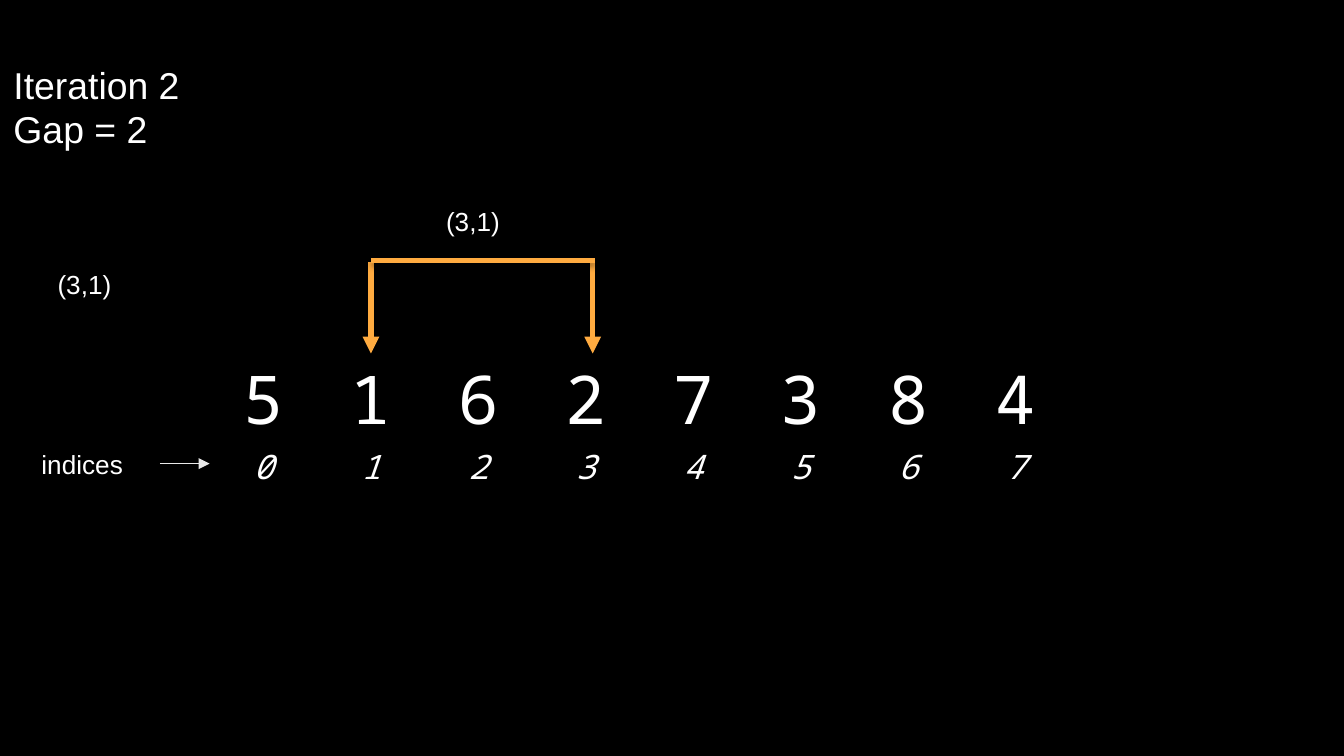
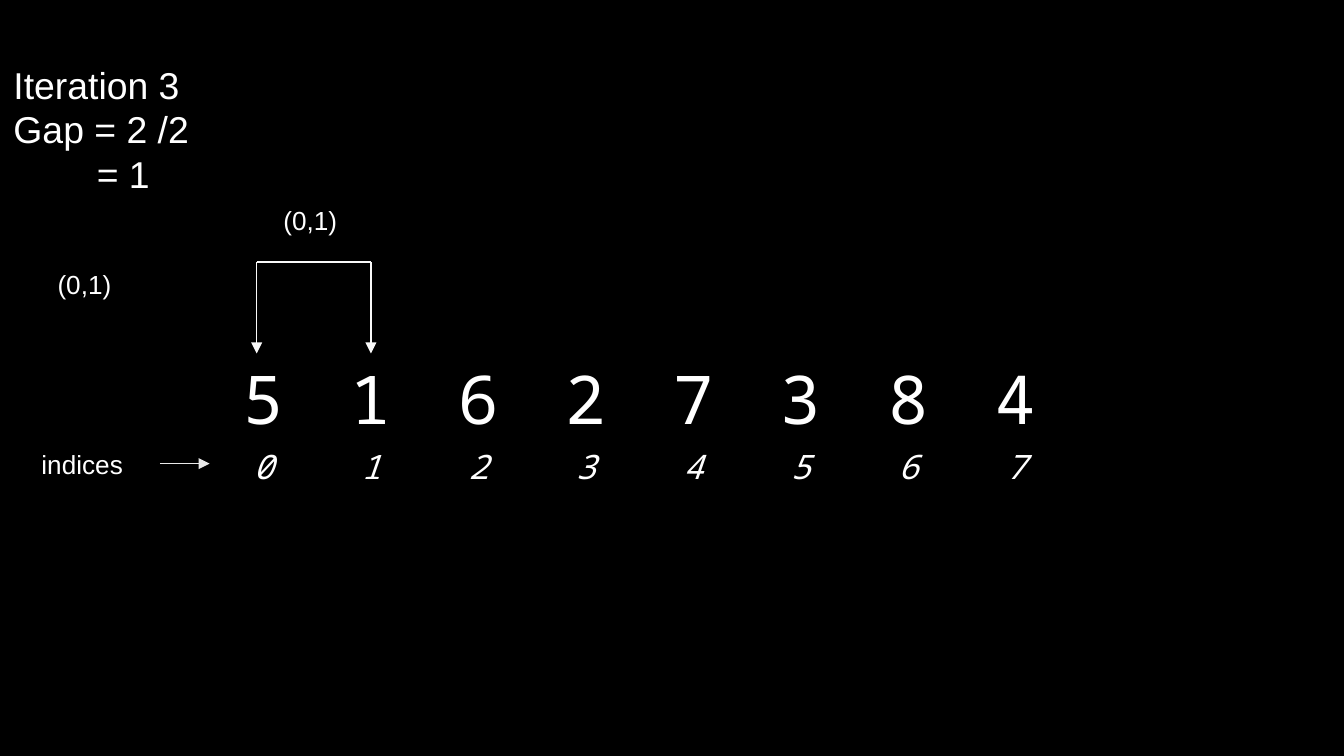
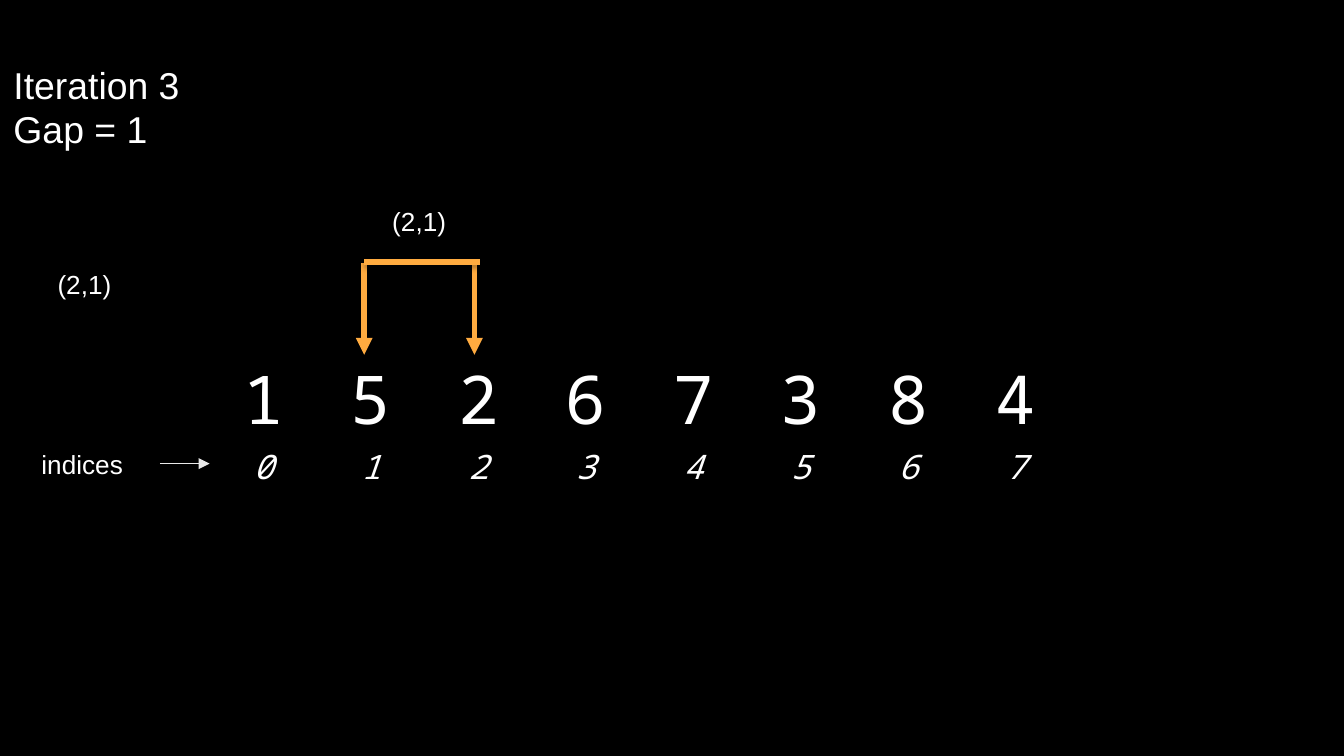
"""Build three slides that trace the compare-and-swap steps of a gap sort."""
import dataclasses

import lxml.etree
import pptx
import pptx.dml.color
import pptx.enum.shapes
import pptx.enum.text
import pptx.oxml
import pptx.oxml.ns
import pptx.util

Inches = pptx.util.Inches
Pt = pptx.util.Pt
ALIGN = pptx.enum.text.PP_ALIGN
ANCHOR = pptx.enum.text.MSO_ANCHOR

BLACK, WHITE, PALE, INDEX_LINE, ORANGE = "000000", "FFFFFF", "F9F9F9", "E9E9E9", "FFAB40"
BODY_FONT, DIGIT_FONT = "Arial", "Noto Sans Mono"
TITLE_ONLY = 5
ARRAY_LEFT, CELL_WIDTH = 1.56, 0.8
ARROW_LENGTH = 0.68
RESULT_INDENT = 0.62


@dataclasses.dataclass
class Step:
    """One comparison: heading, array, pair of values and bracket geometry."""
    heading: list
    values: str
    pair: str
    pair_left: float
    pair_top: float
    bracket_left: float
    bracket_right: float
    bar_right: float
    bar_top: float
    arrow_top: float
    swap: bool


STEPS = [
    Step(["Iteration 2", "Gap = 2"], "51627384", "(3,1)", 3.22, 1.48,
         2.76, 4.41, 4.43, 1.94, 1.95, True),
    Step(["Iteration 3", "Gap = 2 /2", "= 1"], "51627384", "(0,1)", 2.01, 1.47,
         1.91, 2.76, 2.76, 1.95, 1.95, False),
    Step(["Iteration 3", "Gap = 1"], "15267384", "(2,1)", 2.82, 1.48,
         2.71, 3.53, 3.57, 1.95, 1.96, True),
]


def rgb(color):
    """Turn a hex string into a colour."""
    return pptx.dml.color.RGBColor.from_string(color)


def add_xml(parent, tag, **attributes):
    """Append a DrawingML element and return it."""
    return lxml.etree.SubElement(parent, pptx.oxml.ns.qn(f"a:{tag}"), attributes)


def write_text(frame, *lines, size=14, font=BODY_FONT, color=WHITE, italic=False,
               align=ALIGN.LEFT, anchor=ANCHOR.TOP):
    """Fill a text frame, one paragraph a line, indenting result lines."""
    frame.word_wrap = True
    frame.vertical_anchor = anchor
    for number, line in enumerate(lines):
        paragraph = frame.add_paragraph() if number else frame.paragraphs[0]
        paragraph.alignment = align
        if line.startswith("="):
            properties = paragraph._p.get_or_add_pPr()
            properties.set("marL", str(Inches(RESULT_INDENT)))
            properties.set("indent", "0")
        run = paragraph.add_run()
        run.text = line
        run.font.size = Pt(size)
        run.font.name = font
        run.font.italic = italic
        run.font.color.rgb = rgb(color)


def add_heading(slide, lines):
    """Place the iteration heading in the title placeholder."""
    heading = slide.shapes.title
    heading.left, heading.top = Inches(0), Inches(0.41)
    heading.width, heading.height = Inches(2.01), Inches(0.43 + 0.34 * len(lines))
    write_text(heading.text_frame, *lines, size=20)
    heading.text_frame.auto_size = pptx.enum.text.MSO_AUTO_SIZE.NONE


def add_label(slide, text, left, top, width=0.75):
    """Add a small one-line label."""
    label = slide.shapes.add_textbox(Inches(left), Inches(top), Inches(width), Inches(0.34))
    write_text(label.text_frame, text)


def add_digit_row(slide, digits, top, height, size, italic=False):
    """Add a borderless one-row table with a digit in each cell."""
    row = slide.shapes.add_table(1, len(digits), Inches(ARRAY_LEFT), Inches(top),
                                 Inches(CELL_WIDTH * len(digits)), Inches(height)).table
    row.first_row = row.horz_banding = False
    for cell, digit in zip(row.iter_cells(), digits):
        cell.margin_top = cell.margin_bottom = Inches(0.1)
        cell.margin_left = cell.margin_right = Inches(0.1)
        write_text(cell.text_frame, digit, size=size, font=DIGIT_FONT, italic=italic,
                   align=ALIGN.CENTER)
        cell.vertical_anchor = ANCHOR.MIDDLE
        for side in ("lnL", "lnR", "lnT", "lnB"):
            add_xml(add_xml(cell._tc.get_or_add_tcPr(), side, w="0"), "noFill")
        cell.fill.background()


def add_line(slide, start, end, color, width=0.75, arrow=False, shadow=False):
    """Draw a straight line, with an arrowhead or a soft shadow if asked."""
    line = slide.shapes.add_connector(pptx.enum.shapes.MSO_CONNECTOR.STRAIGHT,
                                      *(Inches(length) for length in start + end))
    line.line.color.rgb = rgb(color)
    line.line.width = Pt(width)
    if arrow:
        add_xml(line.line._get_or_add_ln(), "tailEnd", type="triangle")
    effects = add_xml(line._element.spPr, "effectLst")
    if shadow:
        outer = add_xml(effects, "outerShdw", blurRad=str(Pt(3.1)), dist=str(Pt(1.8)),
                        dir="5400000", rotWithShape="0")
        add_xml(add_xml(outer, "srgbClr", val=BLACK), "alpha", val="35000")


def add_bracket(slide, step):
    """Join the two compared values with arrows and a bar."""
    style = (dict(color=ORANGE, width=3, shadow=True) if step.swap else dict(color=PALE))
    for x in (step.bracket_right, step.bracket_left):
        add_line(slide, (x, step.arrow_top), (x, step.arrow_top + ARROW_LENGTH),
                 arrow=True, **style)
    add_line(slide, (step.bracket_left, step.bar_top), (step.bar_right, step.bar_top), **style)


def add_step(deck, step):
    """Add the slide of one comparison."""
    slide = deck.slides.add_slide(deck.slide_layouts[TITLE_ONLY])
    add_heading(slide, step.heading)
    add_digit_row(slide, step.values, top=2.52, height=0.8, size=36)
    add_digit_row(slide, "01234567", top=3.2, height=0.5, size=18, italic=True)
    add_label(slide, "indices", 0.21, 3.29, width=0.98)
    add_line(slide, (1.19, 3.45), (ARRAY_LEFT, 3.45), INDEX_LINE, arrow=True)
    add_label(slide, step.pair, 0.33, 1.95)
    add_bracket(slide, step)
    add_label(slide, step.pair, step.pair_left, step.pair_top)


def main():
    """Build and save the deck."""
    deck = pptx.Presentation()
    deck.slide_width = Inches(10)
    deck.slide_height = deck.slide_width * 9 // 16
    backdrop = deck.slide_master.background.fill
    backdrop.solid()
    backdrop.fore_color.rgb = rgb(BLACK)
    for step in STEPS:
        add_step(deck, step)
    deck.save("out.pptx")


if __name__ == "__main__":
    main()
